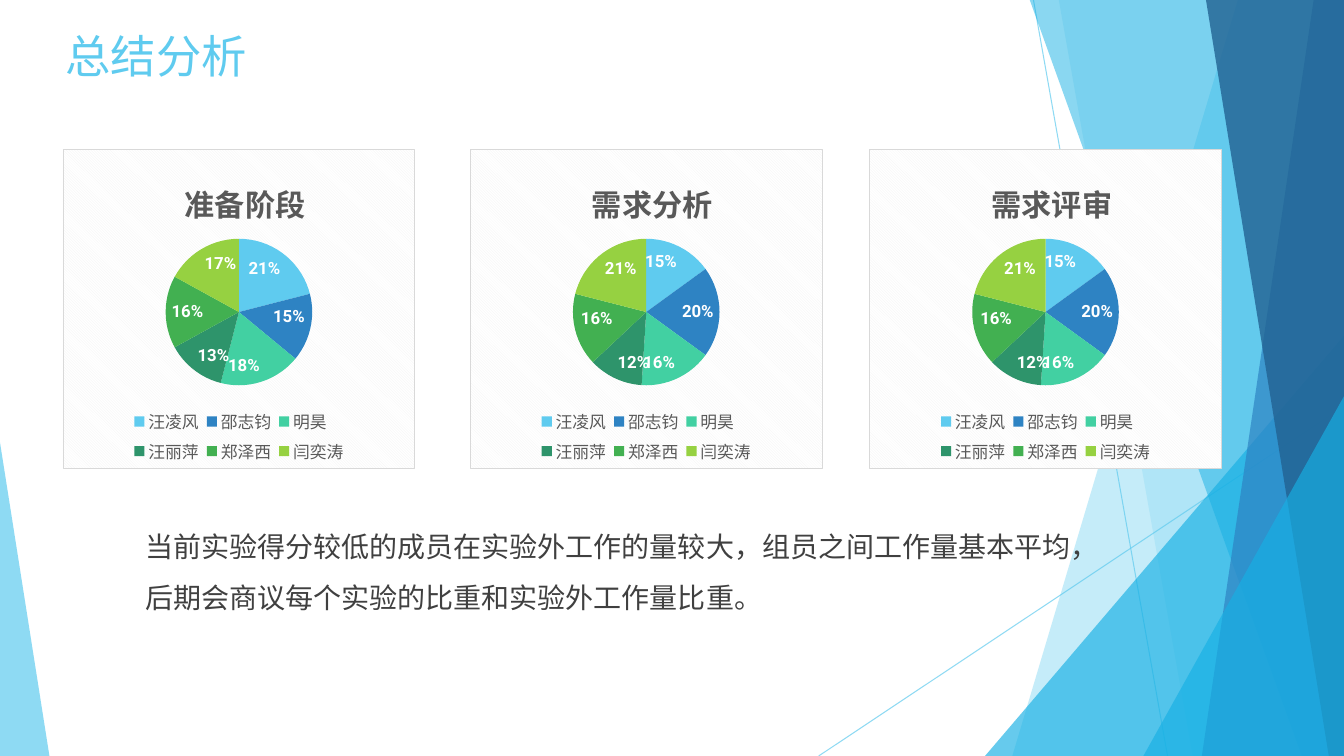
"""Build the summary slide: three pie charts of workload shares and a conclusion."""
from lxml import etree
from pptx import Presentation
from pptx.chart.data import CategoryChartData
from pptx.dml.color import RGBColor
from pptx.enum import chart as ch, shapes, text
from pptx.oxml import parse_xml
from pptx.oxml.ns import nsdecls, qn
from pptx.util import Inches, Pt

COLORS = {
    "sky": "5FCBEF", "cyan": "17B0E4", "blue": "2E83C3", "navy": "226292",
    "mint": "42D0A2", "teal": "2E946B", "green": "42B051", "lime": "96D141",
    "white": "FFFFFF", "black": "000000", "gray": "595959", "ink": "404040",
}
FONT = "Roboto"


def paint(fmt, name, alpha=100):
    """Give a fill a solid colour and an opacity in percent."""
    fmt.solid()
    fmt.fore_color.rgb = RGBColor.from_string(COLORS[name])
    if alpha < 100:
        for clr in fmt._xPr.iter(qn("a:srgbClr")):
            etree.SubElement(clr, qn("a:alpha"), val=str(alpha * 1000))


def place(node, index, **sizes):
    """Set the manual layout of a chart part, in fractions of the chart."""
    layout = node.find(qn("c:layout"))
    if layout is None:
        layout = etree.Element(qn("c:layout"))
        node.insert(index, layout)
    manual = etree.SubElement(layout, qn("c:manualLayout"))
    if index == 0:
        etree.SubElement(manual, qn("c:layoutTarget"), val="inner")
    for key in ("x", "y"):
        etree.SubElement(manual, qn(f"c:{key}Mode"), val="edge")
    for key, size in sizes.items():
        etree.SubElement(manual, qn(f"c:{key}"), val=str(size))


prs = Presentation()
prs.slide_width, prs.slide_height = Inches(13.33), Inches(7.5)
slide = prs.slides.add_slide(prs.slide_layouts[5])

for x1, y1, x2, y2 in [(10.25, 0, 11.58, 7.5), (13.33, 4.03, 8.12, 7.5)]:
    line = slide.shapes.add_connector(
        shapes.MSO_CONNECTOR.STRAIGHT, Inches(x1), Inches(y1), Inches(x2), Inches(y2))
    line.line.width = Pt(0.75)
    paint(line.line.fill, "sky", 70)
    etree.SubElement(line._element.spPr, qn("a:effectLst"))

bands = [
    ("band", 12.28, 10.04, "sky", 36),
    ("band", 10.5, 11.83, "sky", 20),
    ("wedge", 9.77, 3.33, 3.56, 4.17, 1, "cyan", 66),
    ("band", 10.21, 12.91, "cyan", 50),
    ("band", 13.03, 11.92, "blue", 70),
    ("band", 11.96, 13.18, "navy", 80),
    ("wedge", 11.34, 3.93, 1.99, 3.57, 1, "cyan", 66),
    ("wedge", 0, 4.39, 0.49, 3.11, 0, "sky", 70),
]
for kind, *dims, color, alpha in bands:
    if kind == "band":
        top, foot = dims
        pen = slide.shapes.build_freeform(Inches(top), Inches(-0.01))
        pen.add_line_segments([(Inches(x), Inches(y)) for x, y in
                               [(13.33, -0.01), (13.33, 7.5), (foot, 7.5)]])
        shape = pen.convert_to_shape()
    else:
        *box, apex = dims
        shape = slide.shapes.add_shape(
            shapes.MSO_SHAPE.ISOSCELES_TRIANGLE, *[Inches(v) for v in box])
        shape.adjustments[0] = apex
    shape.shadow.inherit = False
    shape.line.fill.background()
    paint(shape.fill, color, alpha)

title = slide.shapes.title
title.left, title.top = Inches(0.55), Inches(0.31)
title.width, title.height = Inches(5.61), Inches(0.47)
note = slide.shapes.add_textbox(Inches(1.34), Inches(5.04), Inches(9.4), Inches(1.72))
note.text_frame.word_wrap = True
title.text_frame.vertical_anchor = text.MSO_ANCHOR.MIDDLE
para = note.text_frame.paragraphs[0]
para.line_spacing, para.space_before = 1.5, Pt(10)
words = "当前实验得分较低的成员在实验外工作的量较大，组员之间工作量基本平均，后期会商议每个实验的比重和实验外工作量比重。"
for box, copy, size, color in [(title, "总结分析", 32.4, "sky"), (note, words, 20, "ink")]:
    para = box.text_frame.paragraphs[0]
    para.alignment = text.PP_ALIGN.LEFT
    run = para.add_run()
    run.text = copy
    run.font.size, run.font.name = Pt(size), FONT
    paint(run.font.fill, color)

members = ["汪凌风", "邵志钧", "明昊", "汪丽萍", "郑泽西", "闫奕涛"]
slices = ["sky", "blue", "mint", "teal", "green", "lime"]
stages = [
    ("准备阶段", 0.62, [21, 15, 18, 13, 16, 17]),
    ("需求分析", 4.66, [15, 20, 16, 12, 16, 21]),
    ("需求评审", 8.62, [15, 20, 16, 12, 16, 21]),
]
for stage, left, shares in stages:
    data = CategoryChartData()
    data.categories = members
    data.add_series("Series 1", shares)
    chart = slide.shapes.add_chart(
        ch.XL_CHART_TYPE.PIE, Inches(left), Inches(1.48), Inches(3.5), Inches(3.17), data).chart

    chart.has_title = True
    run = chart.chart_title.text_frame.paragraphs[0].add_run()
    run.text = stage
    run.font.bold = True

    chart.has_legend = True
    legend = chart.legend
    legend.position = ch.XL_LEGEND_POSITION.BOTTOM
    legend.include_in_layout = False

    plot = chart.plots[0]
    plot.vary_by_categories = True
    plot.has_data_labels = True
    labels = plot.data_labels
    labels.show_percentage, labels.show_value = True, False
    labels.number_format, labels.number_format_is_linked = "0%", False
    labels.position = ch.XL_LABEL_POSITION.INSIDE_END
    labels.font.bold = True
    for font, size, color in [(chart.font, 10, "black"), (run.font, 21.6, "gray"),
                              (legend.font, 12, "gray"), (labels.font, 12, "white")]:
        font.size, font.name = Pt(size), FONT
        paint(font.fill, color)
    for i, color in enumerate(slices):
        paint(plot.series[0].points[i].format.fill, color)

    area = chart._chartSpace.find(qn("c:chart"))
    place(area.find(qn("c:plotArea")), 0, x=0.29, y=0.28, w=0.42, h=0.46)
    place(area.find(qn("c:title")), 1, x=0.33, y=0.07)
    place(legend._element, 1, x=0.18, y=0.8, w=0.64, h=0.2)
    area.addnext(parse_xml(
        f'<c:spPr {nsdecls("c", "a")}><a:pattFill prst="dkDnDiag">'
        '<a:fgClr><a:srgbClr val="F2F2F2"/></a:fgClr>'
        '<a:bgClr><a:srgbClr val="FFFFFF"/></a:bgClr></a:pattFill>'
        '<a:ln w="9525"><a:solidFill><a:srgbClr val="D9D9D9"/></a:solidFill></a:ln></c:spPr>'))

prs.save("out.pptx")
